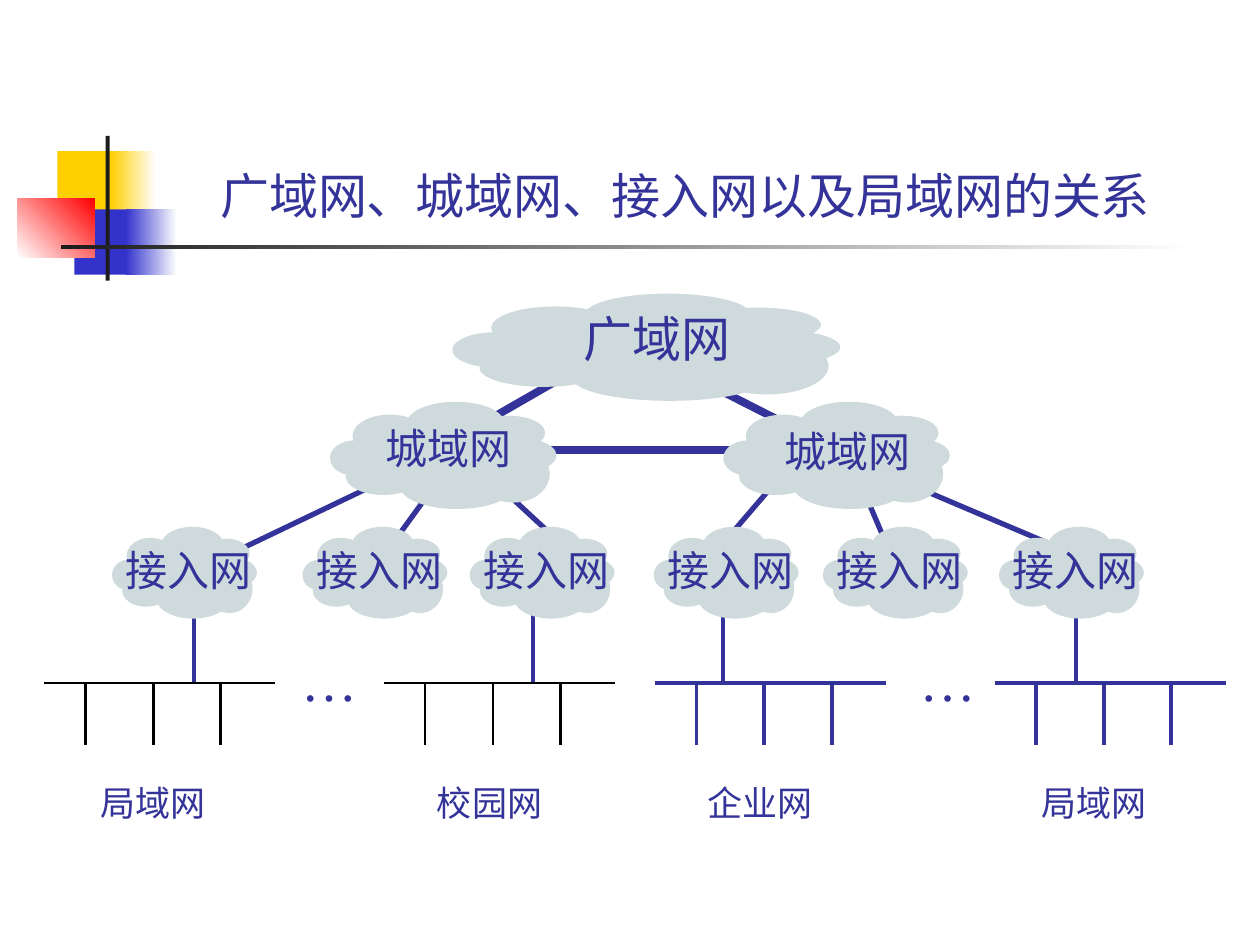
from lxml.etree import SubElement
from pptx import Presentation
from pptx.dml.color import RGBColor
from pptx.enum.shapes import MSO_CONNECTOR, MSO_SHAPE
from pptx.enum.text import MSO_ANCHOR, PP_ALIGN
from pptx.oxml.ns import qn
from pptx.util import Cm, Pt

COLORS = {
    "ink": "333399",
    "cloud": "CEDADB",
    "yellow": "FFCF01",
    "blue": "3333CC",
    "red": "FF0000",
    "dark": "1C1C1C",
    "black": "000000",
    "white": "FFFFFF",
}
CLOUD_LOBES = [
    (0.34, 0, 0.43, 0.4),
    (0.1, 0.12, 0.33, 0.4),
    (0, 0.36, 0.22, 0.33),
    (0.07, 0.52, 0.33, 0.35),
    (0.31, 0.58, 0.5, 0.42),
    (0.63, 0.13, 0.32, 0.32),
    (0.68, 0.34, 0.32, 0.32),
    (0.65, 0.41, 0.32, 0.53),
    (0.18, 0.25, 0.65, 0.53),
]


def color(name):
    """Return the named palette colour."""
    return RGBColor.from_string(COLORS[name])


def add_filled(shapes, kind, box, fill, end=None, angle=0):
    """Add a borderless shape with a solid fill, or a gradient towards end."""
    shape = shapes.add_shape(kind, *map(Cm, box))
    shape.shadow.inherit = False
    shape.line.fill.background()
    if end is None:
        shape.fill.solid()
        shape.fill.fore_color.rgb = color(fill)
    else:
        shape.fill.gradient()
        shape.fill.gradient_angle = angle
        for stop, name in zip(shape.fill.gradient_stops, (fill, end)):
            stop.color.rgb = color(name)
    return shape


def add_line(shapes, start, end, width, name="ink"):
    """Draw a straight line between two points."""
    line = shapes.add_connector(MSO_CONNECTOR.STRAIGHT, *map(Cm, (*start, *end)))
    line.line.width = Pt(width)
    line.line.color.rgb = color(name)
    SubElement(line._element.spPr, qn("a:effectLst"))
    return line


def add_text(slide, box, text, size, font="Times New Roman", align=PP_ALIGN.LEFT,
             anchor=MSO_ANCHOR.TOP, wrap=False):
    """Add a one-paragraph text box."""
    frame = slide.shapes.add_textbox(*map(Cm, box)).text_frame
    frame.word_wrap = wrap
    frame.vertical_anchor = anchor
    paragraph = frame.paragraphs[0]
    paragraph.alignment = align
    run = paragraph.add_run()
    run.text = text
    run.font.size = Pt(size)
    run.font.name = font
    run.font.color.rgb = color("ink")


def add_header(slide, left, top):
    """Draw the coloured blocks, the cross lines and the title."""
    blocks = [
        ((0.81, 0.31, 1.22, 1.32), "yellow", None, 0),
        ((1.88, 0.31, 0.91, 1.32), "yellow", "white", 0),
        ((1.15, 1.48, 1.17, 1.32), "blue", None, 0),
        ((2.19, 1.48, 1.02, 1.32), "blue", "white", 0),
        ((0, 1.27, 1.56, 1.18), "white", "red", 45),
        ((1.78, 0, 0.08, 2.92), "dark", None, 0),
        ((0.88, 2.2, 22.86, 0.09), "dark", "white", 0),
    ]
    for (x, y, width, height), fill, end, angle in blocks:
        add_filled(slide.shapes, MSO_SHAPE.RECTANGLE,
                   (left + x, top + y, width, height), fill, end, angle)
    add_text(slide, (left + 2.64, top - 2.16, 21.64, 4.06),
             "广域网、城域网、接入网以及局域网的关系", 28, font="Arial",
             align=PP_ALIGN.CENTER, anchor=MSO_ANCHOR.BOTTOM, wrap=True)


def add_cloud(slide, box, text, size, text_box):
    """Draw a cloud of ellipses with its name, placed relative to the box."""
    left, top, width, height = box
    group = slide.shapes.add_group_shape()
    for x, y, lobe_width, lobe_height in CLOUD_LOBES:
        lobe = (left + x * width, top + y * height,
                lobe_width * width, lobe_height * height)
        add_filled(group.shapes, MSO_SHAPE.OVAL, lobe, "cloud")
    x, y, text_width, text_height = text_box
    add_text(slide, (left + x, top + y, text_width, text_height), text, size)


def add_local_network(slide, left, top, width, name, line_width):
    """Draw a bus with three stations hanging from it."""
    group = slide.shapes.add_group_shape()
    for x in (0.83, 2.2, 3.56):
        add_line(group.shapes, (left + x, top + 1.24), (left + x, top), line_width, name)
    add_line(group.shapes, (left, top), (left + width, top), line_width, name)


def add_links(slide):
    """Draw the links between the levels of the network."""
    for x in (3.91, 10.74, 14.58, 21.69):
        add_line(slide.shapes, (x, 12.19), (x, 13.77), 2.25)
    for start, end, bottom in [(7.75, 4.47, 11.25), (8.84, 7.92, 10.95),
                               (9.93, 11.3, 10.95), (15.67, 14.58, 10.95),
                               (17.32, 17.86, 10.95), (18.14, 21.13, 10.95)]:
        add_line(slide.shapes, (start, 9.68), (end, bottom), 3)
    for start, end in [((12.12, 7.16), (9.37, 8.74)),
                       ((13.77, 7.49), (16.23, 8.74)),
                       ((10.46, 9.07), (15.11, 9.07))]:
        add_line(slide.shapes, start, end, 4.5)


def add_network(slide):
    """Draw the wide, metropolitan, access and local networks."""
    add_links(slide)
    for left, x, y in [(6.65, 0.87, 0.3), (14.58, 0.99, 0.36)]:
        add_cloud(slide, (left, 8.1, 4.57, 2.16), "城域网", 24, (x, y, 3.05, 1.27))
    for left in (2.26, 6.1, 9.47, 13.18, 16.59, 20.14):
        add_cloud(slide, (left, 10.62, 2.92, 1.85), "接入网", 24, (0.03, 0.23, 3.05, 1.27))
    for left, name, line_width in [(0.89, "black", 1.5), (7.74, "black", 1.5),
                                   (13.21, "ink", 2.25), (20.05, "ink", 2.25)]:
        add_local_network(slide, left, 13.77, 4.66, name, line_width)
    add_cloud(slide, (9.12, 5.92, 7.82, 2.16), "广域网", 28, (2.39, 0.18, 3.48, 1.45))
    for left, label in [(1.78, "局域网"), (20.75, "局域网"),
                        (8.56, "校园网"), (14.02, "企业网")]:
        add_text(slide, (left, 15.62, 2.62, 1.12), label, 20)
    for left in (5.82, 18.29):
        add_text(slide, (left, 12.88, 1.65, 1.6), "…", 32)


def main():
    """Build and save the presentation."""
    presentation = Presentation()
    presentation.slide_width = Cm(25.4)
    presentation.slide_height = Cm(19.05)
    slide = presentation.slides.add_slide(presentation.slide_layouts[6])
    add_header(slide, 0.35, 2.74)
    add_network(slide)
    presentation.save("out.pptx")


if __name__ == "__main__":
    main()
